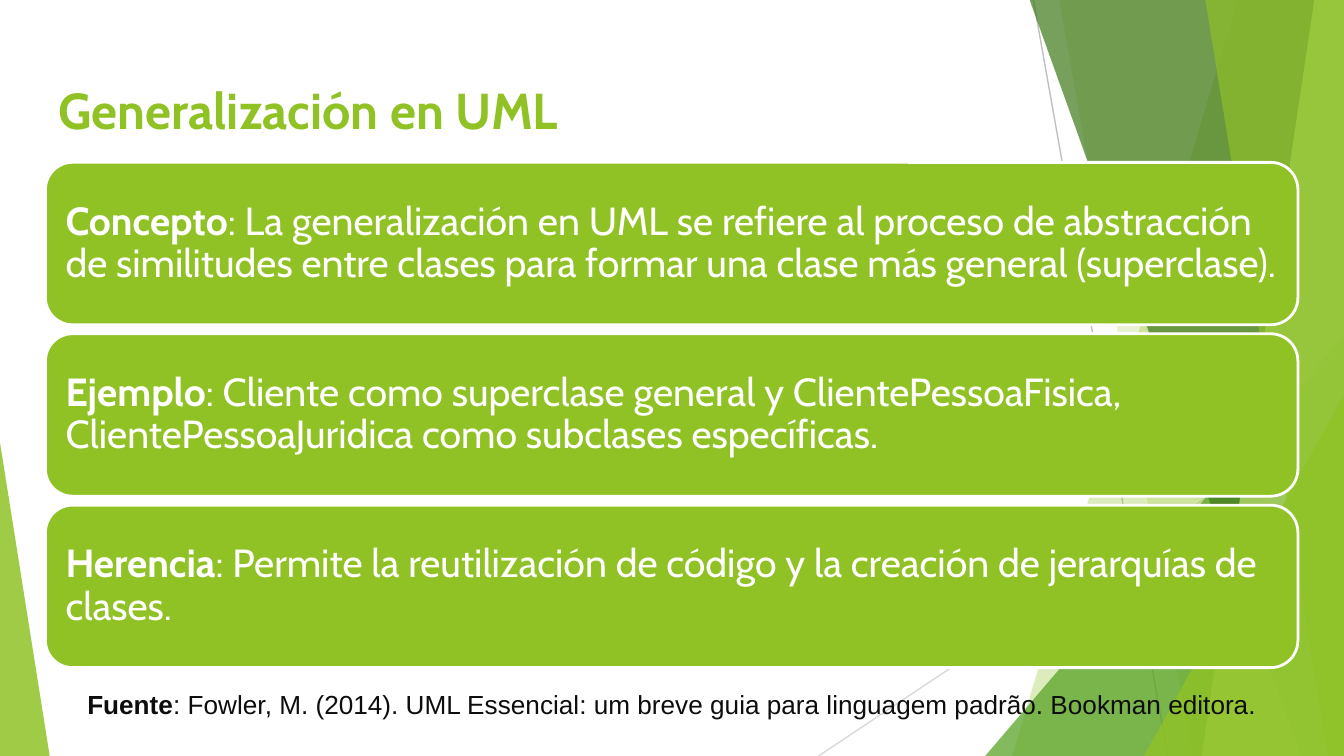
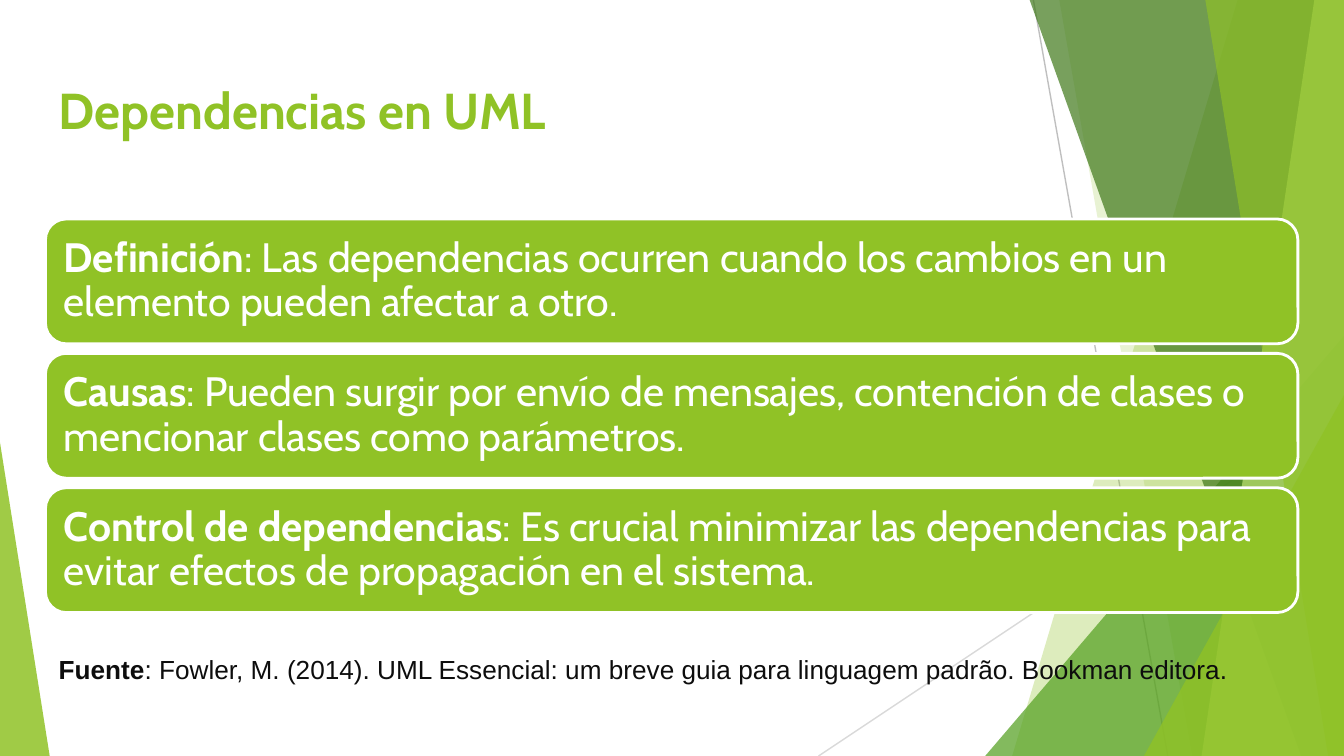
from lxml import etree
from pptx import Presentation
from pptx import util as u
from pptx.dml.color import RGBColor
from pptx.enum import shapes, text
from pptx.oxml import ns

WIDTH, HEIGHT = 25.4, 14.29
MARGIN, CONTENT_WIDTH = 0.86, 23.67
GREEN, MID_GREEN, DARK_GREEN, PALE_GREEN = "90C226", "54A021", "3F7819", "C0E474"
WHITE, INK = "FFFFFF", "0D0D0D"
HEADING_FONT, SOURCE_FONT = "Cabin", "Arial"
SOURCE = ("Fuente", "Fowler, M. (2014). UML Essencial: um breve guia para "
          "linguagem padrão. Bookman editora.")

# Each slide: title, card stack (top, card height, gap, text size), source position, cards
SLIDES = [
    ("Generalización en UML", (3.07, 3.07, 0.17, 21), (1.4, 12.88), [
        ("Concepto", "La generalización en UML se refiere al proceso de abstracción de "
         "similitudes entre clases para formar una clase más general (superclase)."),
        ("Ejemplo", "Cliente como superclase general y ClientePessoaFisica, "
         "ClientePessoaJuridica como subclases específicas."),
        ("Herencia", "Permite la reutilización de código y la creación de "
         "jerarquías de clases."),
    ]),
    ("Dependencias en UML", (4.14, 2.36, 0.18, 22), (MARGIN, 12.22), [
        ("Definición", "Las dependencias ocurren cuando los cambios en un elemento "
         "pueden afectar a otro."),
        ("Causas", "Pueden surgir por envío de mensajes, contención de clases o "
         "mencionar clases como parámetros."),
        ("Control de dependencias", "Es crucial minimizar las dependencias para evitar "
         "efectos de propagación en el sistema."),
    ]),
]


def color(hex_value):
    return RGBColor.from_string(hex_value)


def box(left, top, width, height):
    return [u.Cm(value) for value in (left, top, width, height)]


def paint(shape, fill, opacity=100):
    """Give a shape a plain fill without outline or shadow."""
    shape.shadow.inherit = False
    shape.line.fill.background()
    shape.fill.solid()
    shape.fill.fore_color.rgb = color(fill)
    if opacity < 100:
        srgb = shape.element.spPr.find(".//" + ns.qn("a:srgbClr"))
        etree.SubElement(srgb, ns.qn("a:alpha"), val=str(opacity * 1000))


def add_ray(group, start, end, line_color):
    ray = group.shapes.add_connector(
        shapes.MSO_CONNECTOR.STRAIGHT, *box(*start, *end))
    ray.line.color.rgb = color(line_color)
    ray.line.width = u.Pt(0.75)
    etree.SubElement(ray.element.spPr, ns.qn("a:effectLst"))


def add_band(group, top_left, bottom_left, fill, opacity):
    """Add a full-height band that runs to the right edge of the slide."""
    corners = [(WIDTH, 0), (WIDTH, HEIGHT), (bottom_left, HEIGHT)]
    builder = group.shapes.build_freeform(u.Cm(top_left), 0)
    builder.add_line_segments([(u.Cm(x), u.Cm(y)) for x, y in corners])
    paint(builder.convert_to_shape(), fill, opacity)


def add_wedge(group, left, top, width, apex, fill, opacity):
    """Add a triangle that stands on the bottom edge of the slide."""
    wedge = group.shapes.add_shape(
        shapes.MSO_SHAPE.ISOSCELES_TRIANGLE, *box(left, top, width, HEIGHT - top))
    wedge.adjustments[0] = apex
    paint(wedge, fill, opacity)


def add_backdrop(slide):
    """Build the decoration in a group and hand it to the slide's layout."""
    group = slide.shapes.add_group_shape()
    add_ray(group, (19.53, 0), (22.07, HEIGHT), "BFBFBF")
    add_ray(group, (WIDTH, 7.67), (15.47, HEIGHT), "D9D9D9")
    add_band(group, 23.39, 19.13, GREEN, 30)
    add_band(group, 20.02, 22.53, GREEN, 20)
    add_wedge(group, 18.62, 6.35, 6.78, 1, MID_GREEN, 72)
    add_band(group, 19.46, 24.59, DARK_GREEN, 70)
    add_band(group, 24.84, 22.71, PALE_GREEN, 70)
    add_band(group, 22.78, 25.1, GREEN, 65)
    add_wedge(group, 21.62, 7.47, 3.78, 1, GREEN, 80)
    add_wedge(group, 0, 8.36, 0.94, 0, GREEN, 85)

    layout = slide.slide_layout
    for placeholder in list(layout.placeholders):
        if placeholder.placeholder_format.type != shapes.PP_PLACEHOLDER.TITLE:
            placeholder.element.getparent().remove(placeholder.element)
    layout.shapes.element.insert(2, group.element)


def set_font(font, name, size, hex_value):
    font.name = name
    font.size = u.Pt(size)
    font.color.rgb = color(hex_value)


def write_entry(paragraph, term, body, name, size, hex_value):
    """Write a bold term, a colon and its body."""
    paragraph.alignment = text.PP_ALIGN.LEFT
    set_font(paragraph.font, name, size, hex_value)
    for words, bold in ((term, True), (f": {body}", False)):
        run = paragraph.add_run()
        run.text = words
        set_font(run.font, name, size, hex_value)
        run.font.bold = bold


def set_insets(frame, inset):
    frame.margin_left = frame.margin_right = u.Cm(inset)
    frame.margin_top = frame.margin_bottom = u.Cm(inset)


def write_title(slide, words):
    title = slide.shapes.title
    title.left, title.top, title.width, title.height = box(
        MARGIN, 1.24, CONTENT_WIDTH, 1.6)
    frame = title.text_frame
    frame.text = words
    frame.auto_size = text.MSO_AUTO_SIZE.NONE
    frame.vertical_anchor = text.MSO_ANCHOR.TOP
    set_insets(frame, 0.25)
    paragraph = frame.paragraphs[0]
    paragraph.alignment = text.PP_ALIGN.LEFT
    set_font(paragraph.font, HEADING_FONT, 27, GREEN)
    paragraph.font.bold = True


def add_cards(slide, top, height, gap, size, entries):
    for index, (term, body) in enumerate(entries):
        card = slide.shapes.add_shape(
            shapes.MSO_SHAPE.ROUNDED_RECTANGLE,
            *box(MARGIN, top + index * (height + gap), CONTENT_WIDTH, height))
        paint(card, GREEN)
        card.line.color.rgb = color(WHITE)
        card.line.width = u.Pt(1.5)
        frame = card.text_frame
        frame.word_wrap = True
        frame.vertical_anchor = text.MSO_ANCHOR.MIDDLE
        set_insets(frame, 0.23)
        paragraph = frame.paragraphs[0]
        paragraph.line_spacing = 0.9
        write_entry(paragraph, term, body, HEADING_FONT, size, WHITE)


def add_source(slide, left, top):
    source = slide.shapes.add_textbox(*box(left, top, CONTENT_WIDTH, 0.86))
    frame = source.text_frame
    frame.word_wrap = True
    frame.auto_size = text.MSO_AUTO_SIZE.SHAPE_TO_FIT_TEXT
    write_entry(frame.paragraphs[0], *SOURCE, SOURCE_FONT, 14, INK)


def main():
    presentation = Presentation()
    presentation.slide_width, presentation.slide_height = u.Cm(WIDTH), u.Cm(HEIGHT)
    layout = presentation.slide_layouts.get_by_name("Title Only")
    for number, (title, stack, source_position, entries) in enumerate(SLIDES):
        slide = presentation.slides.add_slide(layout)
        if number == 0:
            add_backdrop(slide)
        write_title(slide, title)
        add_cards(slide, *stack, entries)
        add_source(slide, *source_position)
    presentation.save("out.pptx")


if __name__ == "__main__":
    main()
